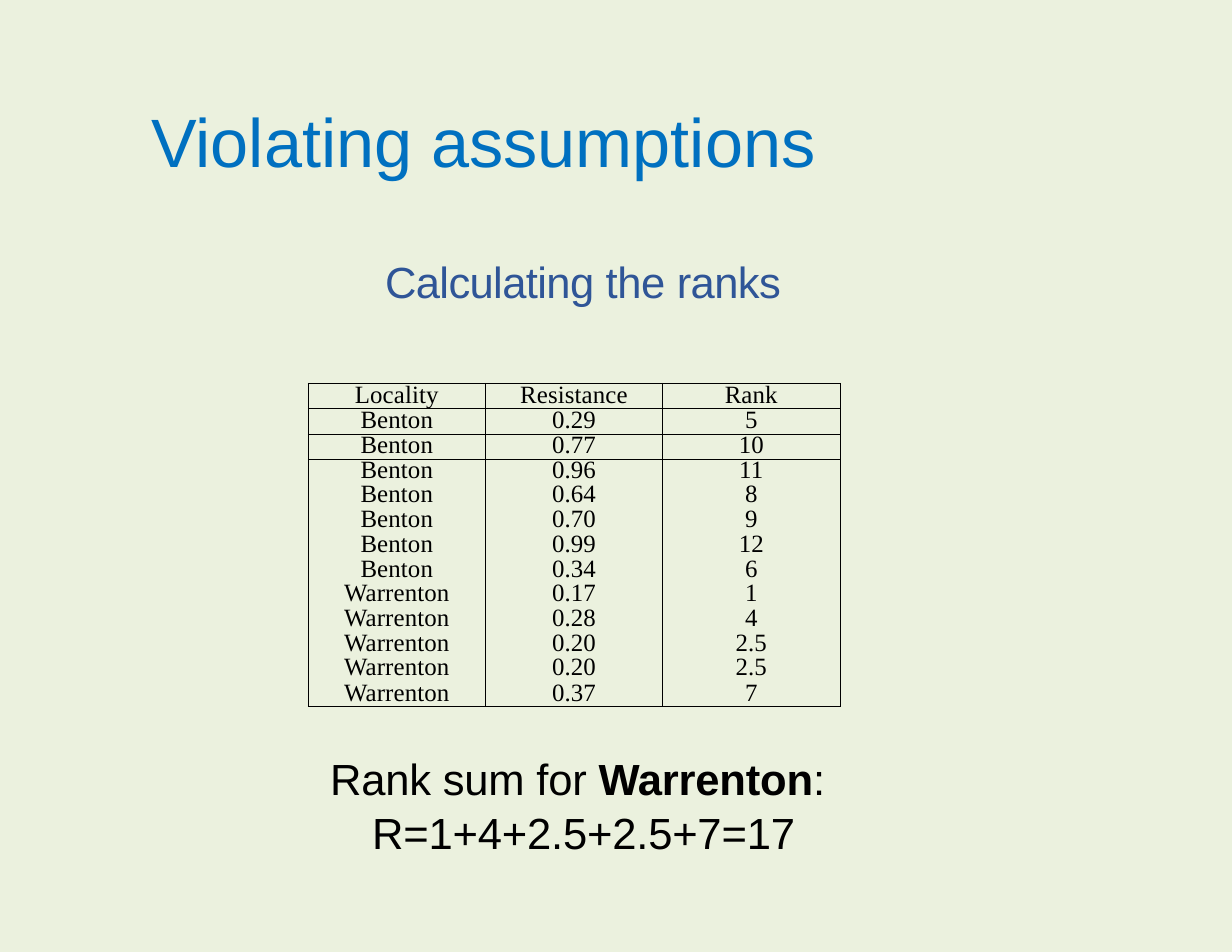
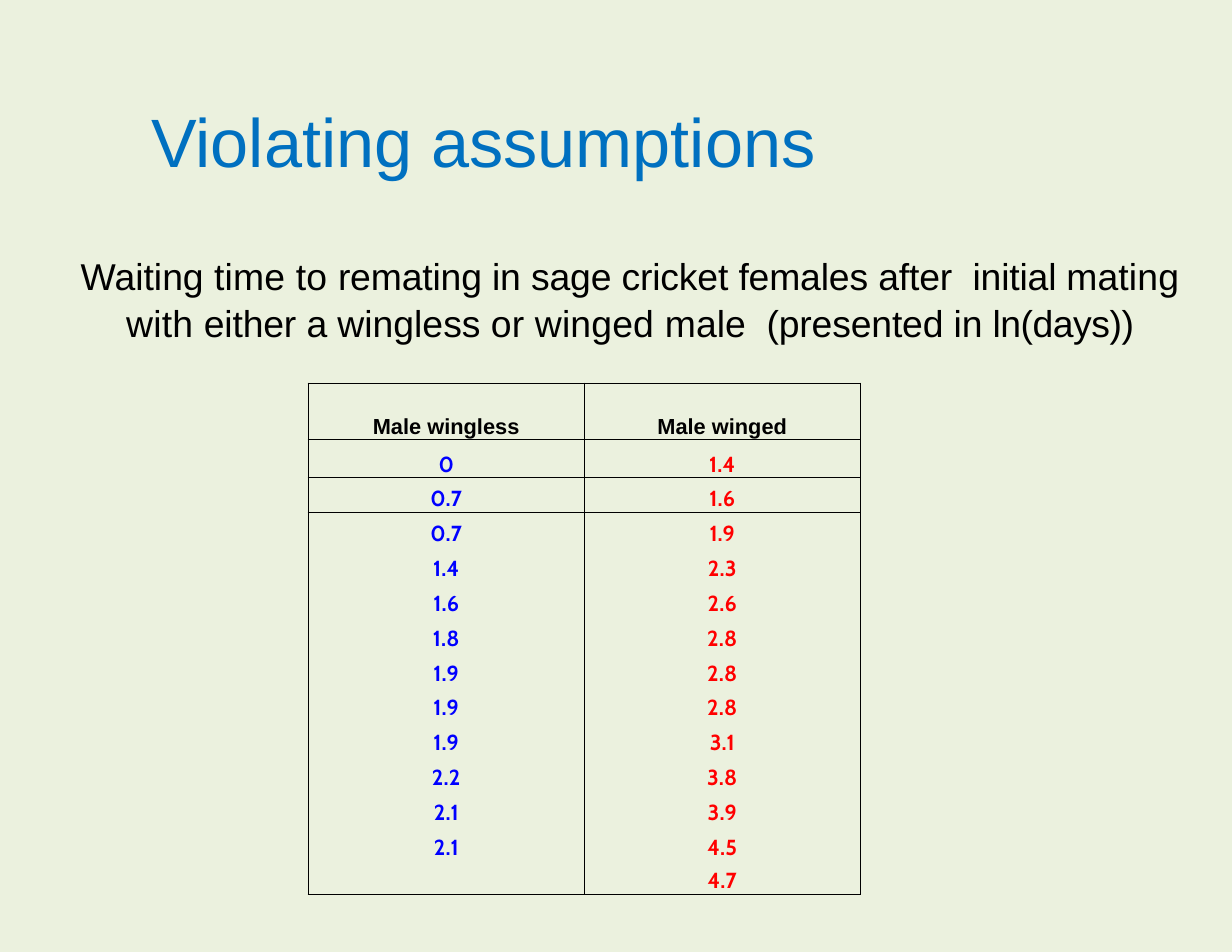
from dataclasses import dataclass

from lxml.etree import SubElement
from pptx import Presentation
from pptx.dml.color import RGBColor
from pptx.enum.text import MSO_AUTO_SIZE as AutoSize
from pptx.enum.text import MSO_VERTICAL_ANCHOR as Anchor
from pptx.enum.text import PP_ALIGN as Align
from pptx.oxml.ns import qn
from pptx.util import Cm, Pt

COLORS = {
    "background": "EBF1DE",
    "title": "0070C0",
    "subtitle": "2F5597",
    "text": "000000",
    "wingless": "0000FF",
    "winged": "FF0000",
}
NO_GRID_STYLE = "{2D5ABB26-0587-4C30-8999-92F81FD0307C}"


@dataclass(frozen=True)
class Phrase:
    text: str
    tracking: float = 0
    bold: bool = False


@dataclass(frozen=True)
class TextBlock:
    left: float
    top: float
    width: float
    height: float
    lines: list[list[Phrase]]
    size: float
    color: str = "text"
    align: Align = Align.CENTER
    insets: tuple[float, float, float, float] = (0, 0.03, 0, 0)
    line_spacing: float = 1.0
    space_before: float = 0.9


@dataclass(frozen=True)
class DataColumn:
    heading: str
    values: list[str]
    color: str = "text"


@dataclass(frozen=True)
class DataTable:
    columns: list[DataColumn]
    column_width: float
    row_heights: list[float]
    size: float
    heading_font: str
    value_font: str
    value_line: float
    border: float
    bold: bool = False
    heading_line: float | None = None
    left: float = 6.99
    top: float = 8.69


def write(paragraph, text: str, *, size: float, font: str = "Arial", color: str = "text",
          bold: bool = False, tracking: float = 0) -> None:
    run = paragraph.add_run()
    run.text = text
    run.font.size = Pt(size)
    run.font.name = font
    run.font.bold = bold
    run.font.color.rgb = RGBColor.from_string(COLORS[color])
    run._r.get_or_add_rPr().set("spc", str(round(tracking * 100)))


def draw_text(slide, block: TextBlock) -> None:
    box = slide.shapes.add_textbox(Cm(block.left), Cm(block.top), Cm(block.width), Cm(block.height))
    frame = box.text_frame
    frame.word_wrap = True
    frame.auto_size = AutoSize.SHAPE_TO_FIT_TEXT
    frame.margin_left, frame.margin_top, frame.margin_right, frame.margin_bottom = map(Cm, block.insets)
    for index, phrases in enumerate(block.lines):
        paragraph = frame.add_paragraph() if index else frame.paragraphs[0]
        paragraph.alignment = block.align
        paragraph.line_spacing = block.line_spacing
        paragraph.space_before = Pt(block.space_before)
        for phrase in phrases:
            write(paragraph, phrase.text, size=block.size, color=block.color,
                  bold=phrase.bold, tracking=phrase.tracking)


def draw_borders(cell, sides: str, width: float) -> None:
    properties = cell._tc.get_or_add_tcPr()
    for side in sides:
        line = SubElement(properties, qn(f"a:ln{side}"), w=str(Pt(width)))
        fill = SubElement(line, qn("a:solidFill"))
        SubElement(fill, qn("a:srgbClr"), val=COLORS["text"])


def draw_table(slide, data: DataTable) -> None:
    row_count = len(data.row_heights)
    frame = slide.shapes.add_table(
        row_count, len(data.columns), Cm(data.left), Cm(data.top),
        Cm(data.column_width * len(data.columns)), Cm(sum(data.row_heights)))
    table = frame.table
    table.first_row = table.horz_banding = False
    table._tbl.tblPr.find(qn("a:tableStyleId")).text = NO_GRID_STYLE
    for row, height in zip(table.rows, data.row_heights):
        row.height = Cm(height)
    for column_index, column in enumerate(data.columns):
        table.columns[column_index].width = Cm(data.column_width)
        for row_index, text in enumerate([column.heading, *column.values]):
            heading = row_index == 0
            cell = table.cell(row_index, column_index)
            cell.margin_left = cell.margin_top = cell.margin_right = cell.margin_bottom = 0
            cell.vertical_anchor = Anchor.BOTTOM
            sides = "LR" + ("T" if row_index < 3 else "")
            sides += "B" if row_index in (0, 1, row_count - 1) else ""
            draw_borders(cell, sides, data.border)
            cell.fill.background()
            paragraph = cell.text_frame.paragraphs[0]
            paragraph.alignment = Align.CENTER
            line = data.heading_line if heading else data.value_line
            if line:
                paragraph.line_spacing = Pt(line)
            if text:
                write(paragraph, text, size=data.size, bold=data.bold,
                      font=data.heading_font if heading else data.value_font,
                      color="text" if heading else column.color,
                      tracking=0 if heading and data.bold else 0.1)


TITLE = TextBlock(3.18, 2.12, 16.93, 2.13, [[Phrase("Violating assumptions")]], 44, "title",
                  Align.LEFT, (0.25, 0.13, 0.25, 0.13), space_before=0)

RANKS_SUBTITLE = TextBlock(
    5.92, 5.74, 14.6, 1.24,
    [[Phrase("Calculating ", -0.4), Phrase("the", -0.2), Phrase(" ranks", -0.4)]],
    28, "subtitle", insets=(0, 0.05, 0, 0), space_before=1.4)

RANK_SUM = TextBlock(
    2.12, 17.02, 22.23, 2.46,
    [[Phrase("Rank sum for ", -0.1), Phrase("Warrenton", -0.1, True), Phrase(": ", -0.1)],
     [Phrase("R=1+4+2.5+2.5+7=17", -0.1)]],
    28)

RANKS_TABLE = DataTable(
    [DataColumn("Locality", ["Benton"] * 7 + ["Warrenton"] * 5),
     DataColumn("Resistance", "0.29 0.77 0.96 0.64 0.70 0.99 0.34 0.17 0.28 0.20 0.20 0.37".split()),
     DataColumn("Rank", "5 10 11 8 9 12 6 1 4 2.5 2.5 7".split())],
    column_width=4.02, row_heights=[0.58, 0.58, *[0.56] * 10, 0.58], size=16,
    heading_font="Times New Roman", value_font="Times New Roman",
    heading_line=10, value_line=9.8, border=0.5)

REMATING_INTRO = TextBlock(
    1.06, 5.66, 26.46, 2.11,
    [[Phrase("Waiting "), Phrase("time to ", 0.1),
      Phrase("remating in sage cricket females after  initial ", -0.1),
      Phrase("mating with ", 0.1), Phrase("either ", -0.1), Phrase("a ", -0.2),
      Phrase("wingless "), Phrase("or winged ", 0.1), Phrase("male  "),
      Phrase("(presented in ", -0.1), Phrase("ln(days))", -0.3)]],
    24, line_spacing=1.05, space_before=0.8)

REMATING_TABLE = DataTable(
    [DataColumn("Male wingless", [*"0 0.7 0.7 1.4 1.6 1.8 1.9 1.9 1.9 2.2 2.1 2.1".split(), ""], "wingless"),
     DataColumn("Male winged", "1.4 1.6 1.9 2.3 2.6 2.8 2.8 2.8 3.1 3.8 3.9 4.5 4.7".split(), "winged")],
    column_width=6.26, row_heights=[1.28, 0.86, *[0.79] * 11, 0.76], size=14,
    heading_font="Arial", value_font="Cabin", value_line=8.8, border=0.75, bold=True)


def main() -> None:
    deck = Presentation()
    deck.slide_width, deck.slide_height = Cm(27.94), Cm(21.59)
    backdrop = deck.slide_master.background.fill
    backdrop.solid()
    backdrop.fore_color.rgb = RGBColor.from_string(COLORS["background"])
    for texts, data in [([RANKS_SUBTITLE, RANK_SUM], RANKS_TABLE), ([REMATING_INTRO], REMATING_TABLE)]:
        slide = deck.slides.add_slide(deck.slide_layouts[6])
        draw_table(slide, data)
        for block in [*texts, TITLE]:
            draw_text(slide, block)
    deck.save("out.pptx")


if __name__ == "__main__":
    main()
